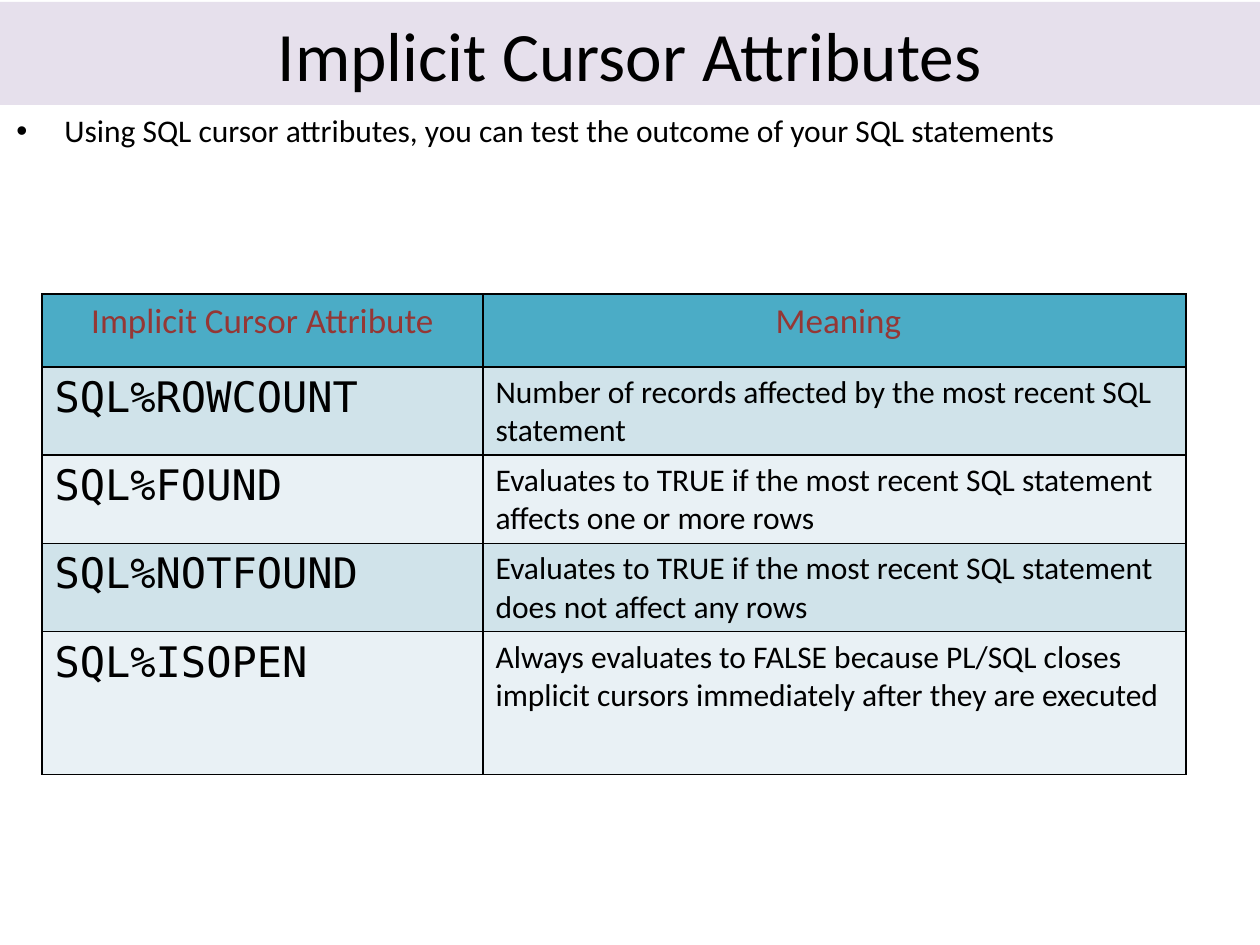
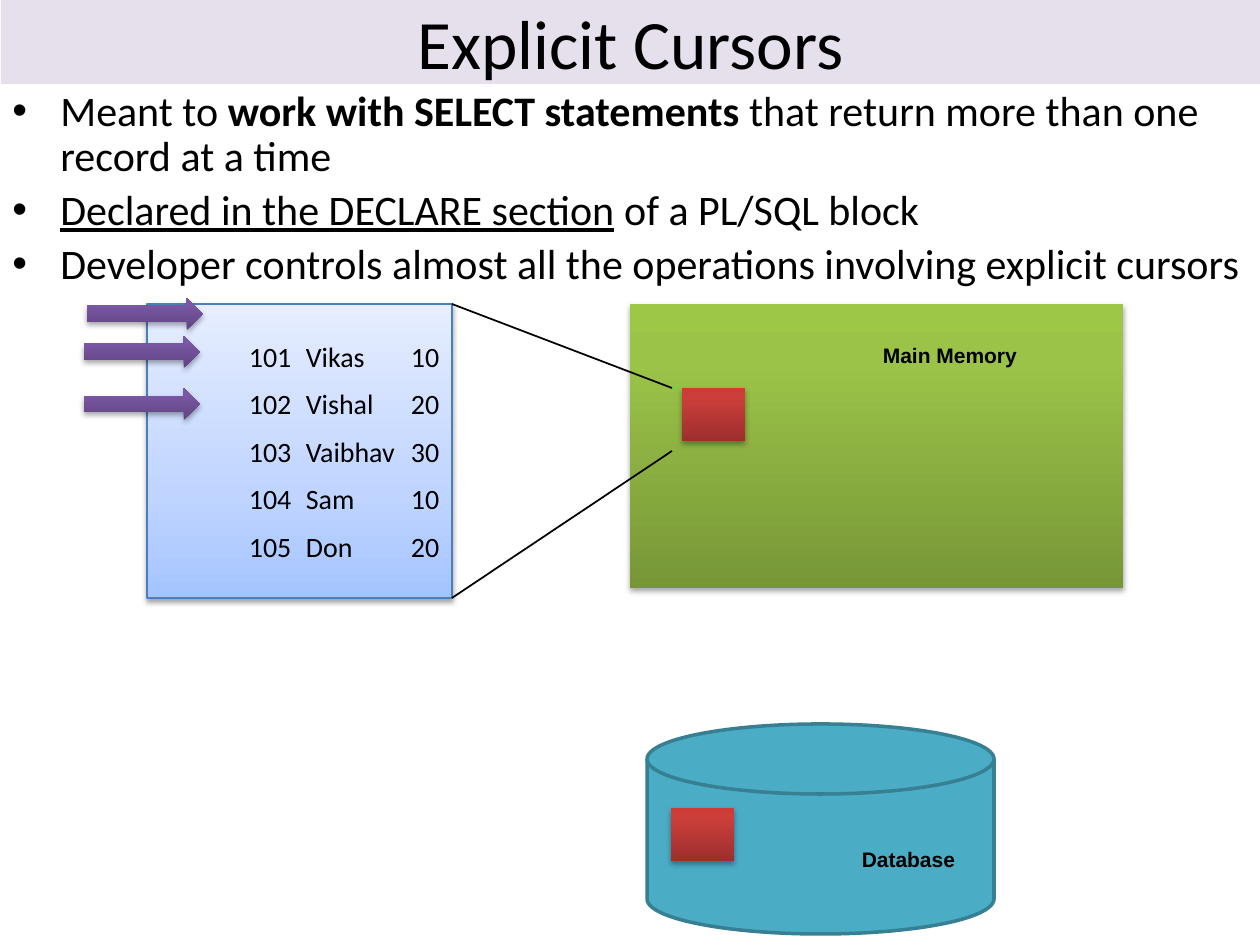
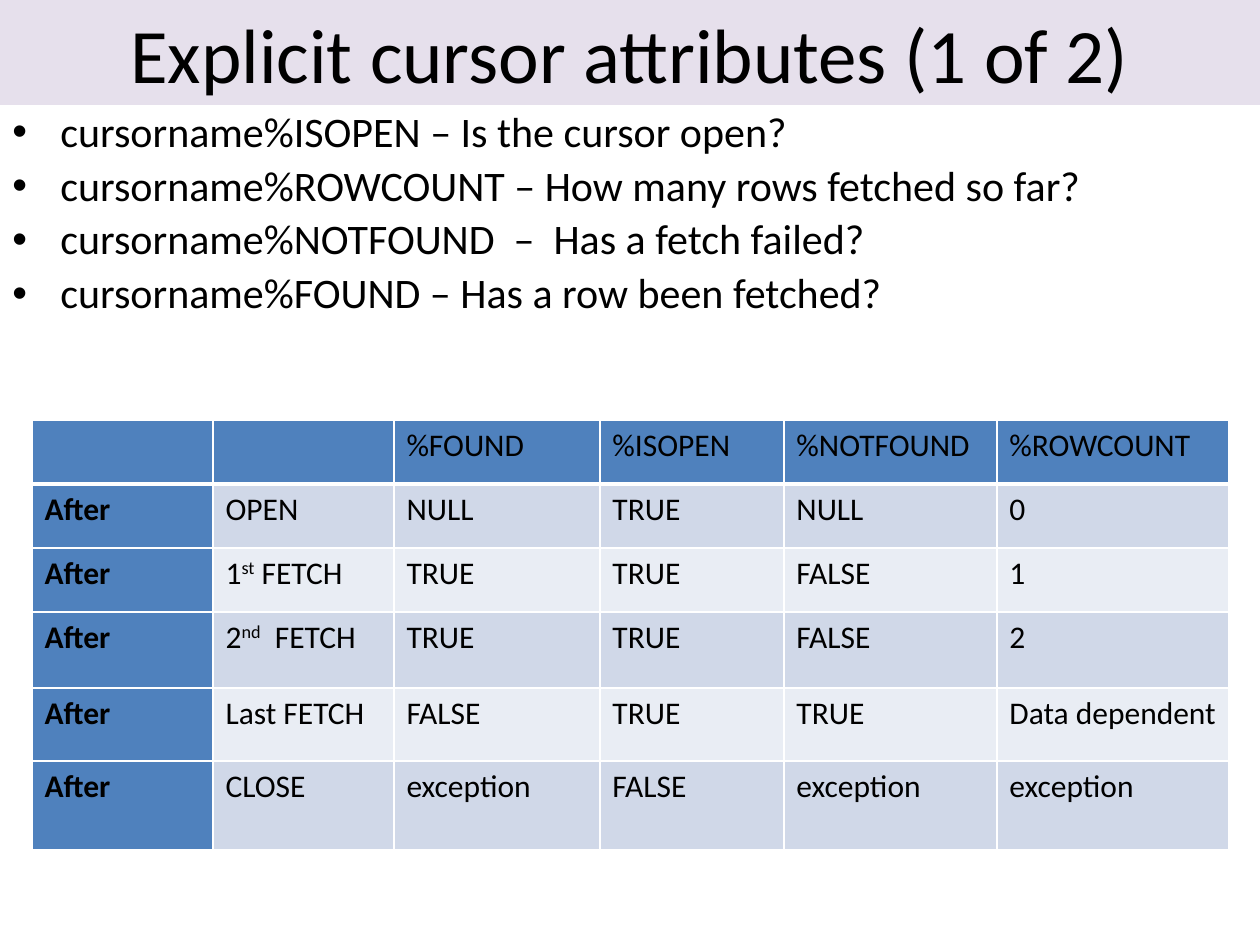
from dataclasses import dataclass

from lxml.etree import SubElement
from pptx import Presentation
from pptx.dml.color import RGBColor
from pptx.enum.shapes import MSO_CONNECTOR, MSO_SHAPE
from pptx.enum.text import MSO_ANCHOR, PP_ALIGN
from pptx.oxml.ns import qn
from pptx.util import Emu, Pt


@dataclass(frozen=True)
class Theme:
    # Fonts
    sans: str = "Calibri"
    mono: str = "DejaVu Sans Mono"
    label: str = "Arial"
    # Type sizes
    title: float = 39.6
    large: int = 44
    code: int = 24
    lead: int = 24
    head: int = 20
    text: int = 18
    list: int = 16
    small: int = 12
    # Plain colours
    ink: str = "000000"
    white: str = "FFFFFF"
    band: str = "E6E0EC"
    maroon: str = "953735"
    teal: str = "4BACC6"
    rim: str = "377F92"
    blue: str = "4F81BD"
    edge: str = "4B7EBC"
    teals: tuple = ("D0E3EA", "E9F1F5")
    blues: tuple = ("D0D8E8", "E9EDF4")
    # Colour ramps, from bottom to top
    red: tuple = ((0, "9C2F2D"), (80, "CB3E3A"), (100, "CE3B37"))
    green: tuple = ((0, "779737"), (80, "9BC348"), (100, "9DC746"))
    purple: tuple = ((0, "5F4480"), (80, "7B58A6"), (100, "7C57A8"))
    sky: tuple = ((0, "A4C4FF"), (35, "BFD4FF"), (100, "E6EEFF"))


T = Theme()
WIDE, HIGH = 1260, 945
INDENT = 48


def px(num):
    return Emu(round(num * 914400 / 126))


def box(*at):
    return [px(num) for num in at]


def rgb(code):
    return RGBColor.from_string(code)


def node(parent, tag, **attrs):
    return SubElement(parent, qn(tag), {key: str(val) for key, val in attrs.items()})


# Text: a string, or a list of (text, mark) with the marks b, u and ^
def write(para, text, size, font=T.sans, color=T.ink, bold=False, align=None):
    if isinstance(text, str):
        para.text = text
        marks = "b" if bold else ""
        pairs = [(run, marks) for run in para.runs]
    else:
        pairs = []
        for part, mark in text:
            run = para.add_run()
            run.text = part
            pairs.append((run, mark))
    for run, mark in pairs:
        run.font.size = Pt(size)
        run.font.name = font
        run.font.color.rgb = rgb(color)
        run.font.bold = "b" in mark
        run.font.underline = "u" in mark
        if "^" in mark:
            run.font._element.set("baseline", "30000")
    para.alignment = align


def lines(frame, items):
    for num, item in enumerate(items):
        yield (frame.add_paragraph() if num else frame.paragraphs[0]), item


def title(slide, text, at, size=T.title):
    band = slide.shapes.add_textbox(*box(*at))
    band.fill.solid()
    band.fill.fore_color.rgb = rgb(T.band)
    frame = band.text_frame
    frame.word_wrap = True
    frame.vertical_anchor = MSO_ANCHOR.MIDDLE
    write(frame.paragraphs[0], text, size, align=PP_ALIGN.CENTER)


def bullets(slide, items, left, top, size=T.lead, pitch=0.9):
    body = slide.shapes.add_textbox(*box(left, top, WIDE - left, HIGH - top))
    frame = body.text_frame
    frame.word_wrap = True
    for para, item in lines(frame, items):
        write(para, item, size)
        para.line_spacing = pitch
        para.space_before = Pt(size * 0.2)
        props = para._p.get_or_add_pPr()
        props.set("marL", str(px(INDENT)))
        props.set("indent", str(-px(INDENT)))
        node(props, "a:buFont", typeface="Arial")
        node(props, "a:buChar", char="•")


def label(slide, text, at):
    frame = slide.shapes.add_textbox(*box(*at)).text_frame
    frame.word_wrap = True
    write(frame.paragraphs[0], text, T.small, T.label, bold=True, align=PP_ALIGN.CENTER)


# Shapes
def form(slide, kind, at, edge=None, weight=0.75):
    shape = slide.shapes.add_shape(kind, *box(*at))
    shape.shadow.inherit = False
    if edge:
        shape.line.color.rgb = rgb(edge)
        shape.line.width = Pt(weight)
    else:
        shape.line.fill.background()
    return shape


def glossy(slide, kind, at, ramp, edge=None):
    shape = form(slide, kind, at, edge)
    shape.fill.gradient()
    shape.fill.gradient_angle = 90
    props = shape._element.spPr
    stops = props.find(qn("a:gradFill")).find(qn("a:gsLst"))
    for stop in list(stops):
        stops.remove(stop)
    for pos, color in ramp:
        node(node(stops, "a:gs", pos=pos * 1000), "a:srgbClr", val=color)
    glow = node(props.find(qn("a:effectLst")), "a:outerShdw", blurRad=40000,
                dist=23000, dir=5400000, rotWithShape=0)
    node(node(glow, "a:srgbClr", val=T.ink), "a:alpha", val=35000)
    return shape


def line(slide, *ends):
    link = slide.shapes.add_connector(MSO_CONNECTOR.STRAIGHT, *box(*ends))
    link.line.color.rgb = rgb(T.ink)
    link.line.width = Pt(1)
    node(link._element.spPr, "a:effectLst")


def records(slide, at, rows):
    sheet = glossy(slide, MSO_SHAPE.FLOWCHART_PROCESS, at, T.sky, T.edge)
    frame = sheet.text_frame
    frame.margin_left = px(102)
    frame.vertical_anchor = MSO_ANCHOR.MIDDLE
    for para, row in lines(frame, rows):
        write(para, "\t".join(row), T.list, align=PP_ALIGN.LEFT)
        para.space_before = Pt(T.list / 2)
        tabs = node(para._p.get_or_add_pPr(), "a:tabLst")
        for stop in (57, 162):
            node(tabs, "a:tab", pos=px(stop), algn="l")


# Tables
def borders(cell, color, low=1):
    props = cell._tc.get_or_add_tcPr()
    for num, side in enumerate("LRTB"):
        weight = low if side == "B" else 1
        rule = node(props, "a:ln" + side, w=Pt(weight))
        node(node(rule, "a:solidFill"), "a:srgbClr", val=color)
        props.insert(num, rule)


def grid(slide, left, top, cols, rows, data, head, bands, rule, style, low=1, side=False):
    frame = slide.shapes.add_table(len(rows), len(cols),
                                   *box(left, top, sum(cols), sum(rows)))
    table = frame.table
    table.first_row = table.horz_banding = False
    for col, width in zip(table.columns, cols):
        col.width = px(width)
    for row, height in zip(table.rows, rows):
        row.height = px(height)
    for r, texts in enumerate(data):
        for c, text in enumerate(texts):
            cell = table.cell(r, c)
            key = r == 0 or (side and c == 0)
            cell.fill.solid()
            cell.fill.fore_color.rgb = rgb(head if key else bands[(r - 1) % 2])
            borders(cell, rule, low if r == 0 else 1)
            write(cell.text_frame.paragraphs[0], text, **style(r, c))


def implicit(slide):
    title(slide, "Implicit Cursor Attributes", (0, 2, WIDE, 103))
    bullets(slide, ["Using SQL cursor attributes, you can test the outcome of "
                    "your SQL statements"], 4, 105, T.text, 1.0)

    def style(r, c):
        if r == 0:
            return dict(size=T.head, color=T.maroon, align=PP_ALIGN.CENTER)
        return dict(size=T.text) if c else dict(size=T.code, font=T.mono)

    data = [
        ("Implicit Cursor Attribute", " Meaning"),
        ("SQL%ROWCOUNT", "Number of records affected by the most recent SQL statement"),
        ("SQL%FOUND", "Evaluates to TRUE if the most recent SQL statement "
                      "affects one or more rows"),
        ("SQL%NOTFOUND", "Evaluates to TRUE if the most recent SQL statement "
                         "does not affect any rows"),
        ("SQL%ISOPEN", "Always evaluates to FALSE because PL/SQL closes implicit "
                       "cursors immediately after they are executed"),
    ]
    grid(slide, 42, 294, (441, 703), (73, 88, 88, 88, 143), data,
         T.teal, T.teals, T.ink, style)


def explicit(slide):
    title(slide, "Explicit Cursors", (1, 0, WIDE - 1, 84))
    bullets(slide, [
        [("Meant to ", ""), ("work with SELECT statements", "b"),
         (" that return more than one record at a time", "")],
        [("Declared in the DECLARE section", "u"), (" of a PL/SQL block", "")],
        "Developer controls almost all the operations involving explicit cursors",
    ], 0, 84)

    # Database and main memory
    disk = form(slide, MSO_SHAPE.FLOWCHART_MAGNETIC_DISK, (647, 724, 347, 210), T.rim, 2)
    disk.fill.solid()
    disk.fill.fore_color.rgb = rgb(T.teal)
    glossy(slide, MSO_SHAPE.RECTANGLE, (630, 304, 493, 284), T.green)
    for left, top in ((671, 808), (682, 388)):
        glossy(slide, MSO_SHAPE.RECTANGLE, (left, top, 63, 53), T.red)
    label(slide, "Main Memory", (829, 336, 242, 38))
    label(slide, "Database", (819, 840, 179, 38))

    # Fetched rows, with the cursor arrows
    records(slide, (147, 304, 305, 294), [
        ("101", "Vikas", "10"), ("102", "Vishal", "20"), ("103", "Vaibhav", "30"),
        ("104", "Sam", "10"), ("105", "Don", "20"),
    ])
    line(slide, 672, 388, 452, 304)
    line(slide, 672, 451, 452, 598)
    for left, top in ((87, 298), (84, 336), (84, 388)):
        glossy(slide, MSO_SHAPE.RIGHT_ARROW, (left, top, 116, 32), T.purple)


def status(slide):
    title(slide, "Explicit cursor attributes (1 of 2)", (0, 0, WIDE, 105), T.large)
    bullets(slide, [
        "cursorname%ISOPEN – Is the cursor open?",
        "cursorname%ROWCOUNT – How many rows fetched so far?",
        "cursorname%NOTFOUND  –  Has a fetch failed?",
        "cursorname%FOUND – Has a row been fetched?",
    ], 0, 105)

    def style(r, c):
        return dict(size=T.text, bold=c == 0)

    first = [("1", ""), ("st", "^"), (" FETCH", "")]
    second = [("2", ""), ("nd", "^"), ("  FETCH", "")]
    steps = [
        ("OPEN", "NULL", "TRUE", "NULL", "0"),
        (first, "TRUE", "TRUE", "FALSE", "1"),
        (second, "TRUE", "TRUE", "FALSE", "2"),
        ("Last FETCH", "FALSE", "TRUE", "TRUE", "Data dependent"),
        ("CLOSE", "exception", "FALSE", "exception", "exception"),
    ]
    data = [("", "", "%FOUND", "%ISOPEN", "%NOTFOUND", "%ROWCOUNT")]
    data += [("After", *step) for step in steps]
    grid(slide, 32, 420, (181, 181, 206, 184, 213, 232), (64, 64, 64, 76, 73, 89), data,
         T.blue, T.blues, T.white, style, low=3, side=True)


def main():
    deck = Presentation()
    deck.slide_width, deck.slide_height = px(WIDE), px(HIGH)
    for build in (implicit, explicit, status):
        build(deck.slides.add_slide(deck.slide_layouts[6]))
    deck.save("out.pptx")


if __name__ == "__main__":
    main()
